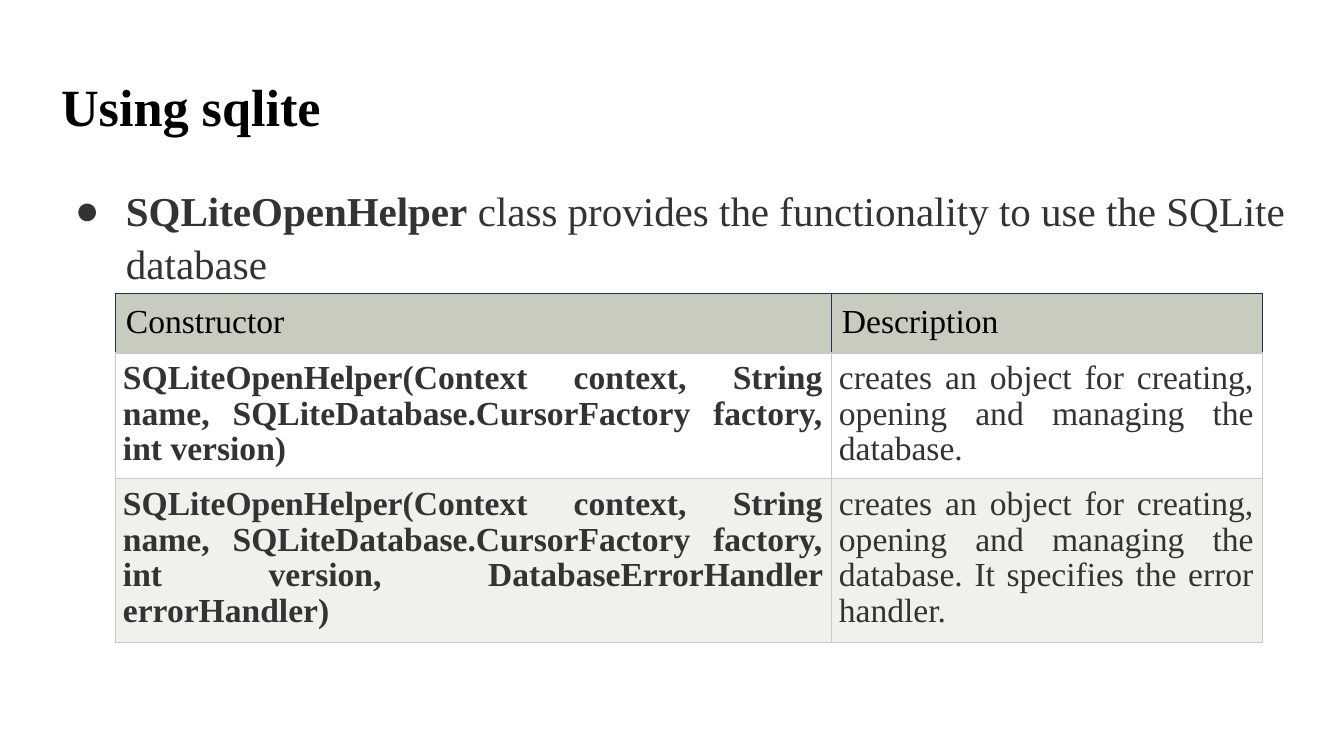
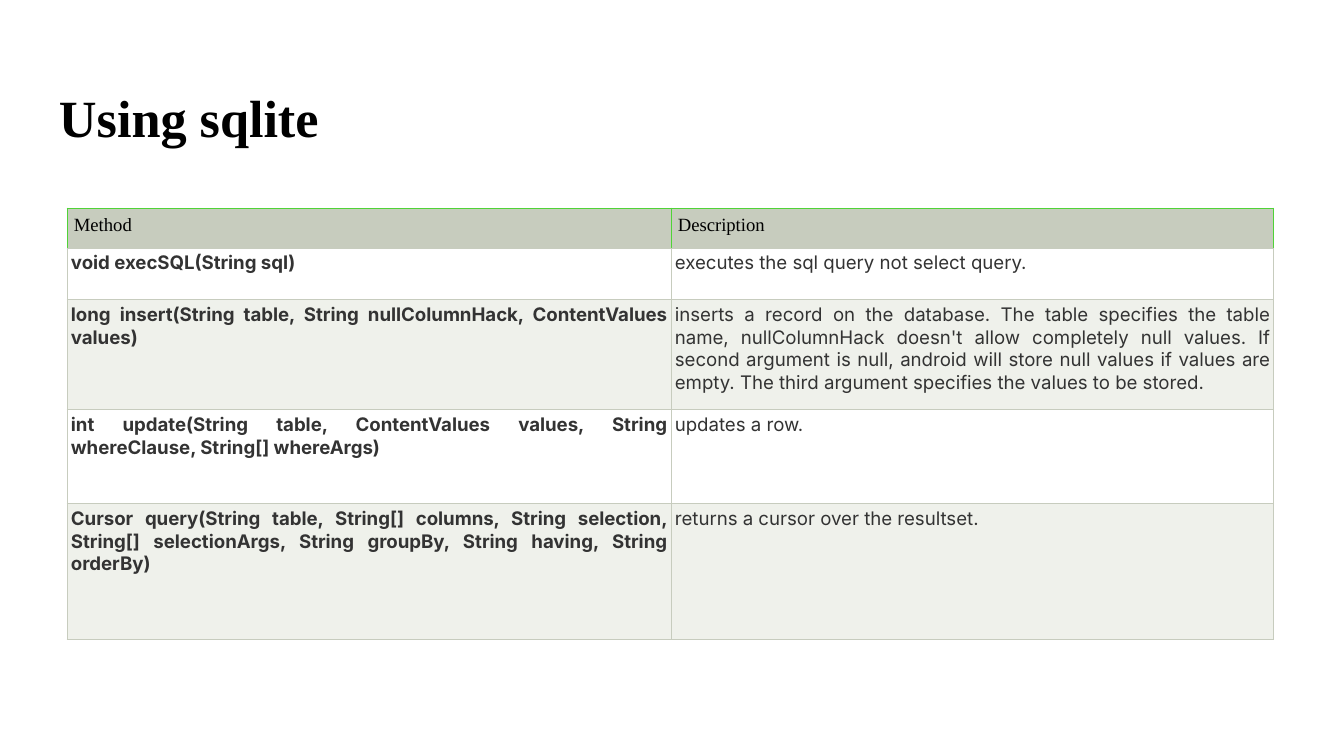
from lxml.etree import SubElement
from pptx import Presentation
from pptx.dml.color import RGBColor
from pptx.enum.text import MSO_ANCHOR, MSO_AUTO_SIZE, PP_ALIGN
from pptx.oxml.ns import qn
from pptx.util import Emu, Pt

BLACK = RGBColor(0x00, 0x00, 0x00)
TEXT = RGBColor(0x33, 0x33, 0x33)
WHITE = RGBColor(0xFF, 0xFF, 0xFF)
SAGE = RGBColor(0xC7, 0xCC, 0xBE)
PALE_SAGE = RGBColor(0xEF, 0xF1, 0xEB)
NAVY = RGBColor(0x20, 0x2F, 0x63)
GREEN = RGBColor(0x50, 0xD3, 0x37)

SERIF = "Times New Roman"
SANS = "Inter"
TITLE = "Using sqlite"
TITLE_SIZE = (1253, 85)
TITLE_AND_CONTENT, TITLE_ONLY = 1, 5

BULLET_RUNS = [
    ("SQLiteOpenHelper", True),
    (" class provides the functionality to use the SQLite database", False),
]

CONSTRUCTORS = {
    "rows": [
        ("Constructor", "Description"),
        ("SQLiteOpenHelper(Context context, String name, "
         "SQLiteDatabase.CursorFactory factory, int version)",
         "creates an object for creating, opening and managing the database."),
        ("SQLiteOpenHelper(Context context, String name, "
         "SQLiteDatabase.CursorFactory factory, int version, "
         "DatabaseErrorHandler errorHandler)",
         "creates an object for creating, opening and managing the database. "
         "It specifies the error handler."),
    ],
    "origin": (115, 293), "widths": (716, 431), "heights": (60, 126, 164),
    "size": 18, "font": SERIF, "line_spacing": 0.96,
    "header_inset": 11, "inset": 8, "header_line": NAVY,
}

METHODS = {
    "rows": [
        ("Method", "Description"),
        ("void execSQL(String sql)", "executes the sql query not select query."),
        ("long insert(String table, String nullColumnHack, ContentValues values)",
         "inserts a record on the database. The table specifies the table name, "
         "nullColumnHack doesn't allow completely null values. If second argument "
         "is null, android will store null values if values are empty. The third "
         "argument specifies the values to be stored."),
        ("int update(String table, ContentValues values, String whereClause, "
         "String[] whereArgs)", "updates a row."),
        ("Cursor query(String table, String[] columns, String selection, "
         "String[] selectionArgs, String groupBy, String having, String orderBy)",
         "returns a cursor over the resultset."),
    ],
    "origin": (67, 208), "widths": (604, 603), "heights": (40, 52, 110, 94, 136),
    "size": 10, "font": SANS, "line_spacing": 1.0,
    "header_inset": 7, "inset": 4, "header_line": GREEN,
}


def px(value):
    return Emu(round(value * 914400 / 134.4))


def set_font(font, name, size, color, bold):
    font.name, font.size, font.bold = name, Pt(size), bold
    font.color.rgb = color


def place(placeholder, left, top, width, height):
    """Position a placeholder and give its text frame the shared settings."""
    placeholder.left, placeholder.top = px(left), px(top)
    placeholder.width, placeholder.height = px(width), px(height)
    frame = placeholder.text_frame
    frame.auto_size = MSO_AUTO_SIZE.NONE
    frame.word_wrap = True
    frame.vertical_anchor = MSO_ANCHOR.TOP
    frame.margin_left = frame.margin_right = px(13)
    frame.margin_top = frame.margin_bottom = px(13)
    return frame


def add_slide(presentation, layout, title_left, title_top):
    slide = presentation.slides.add_slide(presentation.slide_layouts[layout])
    frame = place(slide.shapes.title, title_left, title_top, *TITLE_SIZE)
    frame.text = TITLE
    paragraph = frame.paragraphs[0]
    paragraph.alignment = PP_ALIGN.LEFT
    paragraph.line_spacing = 1.1
    set_font(paragraph.runs[0].font, SERIF, 28, BLACK, True)
    return slide


def add_bullet(placeholder):
    frame = place(placeholder, 46, 169, 1253, 503)
    paragraph = frame.paragraphs[0]
    properties = paragraph._p.get_or_add_pPr()
    properties.set("marL", str(px(67)))
    properties.set("indent", str(px(-51)))
    SubElement(properties, qn("a:buChar"), char="●")
    paragraph.line_spacing = 1.07
    paragraph.space_before = Pt(0)
    for text, bold in BULLET_RUNS:
        run = paragraph.add_run()
        run.text = text
        set_font(run.font, SERIF, 22, TEXT, bold)


def set_borders(cell, colors):
    """Draw half-point borders, with colours keyed by side: L, R, T, B."""
    properties = cell._tc.get_or_add_tcPr()
    for side, color in colors.items():
        line = SubElement(properties, qn(f"a:ln{side}"), w=str(Pt(0.5)))
        fill = SubElement(line, qn("a:solidFill"))
        SubElement(fill, qn("a:srgbClr"), val=str(color))


def format_cell(cell, text, row, column, content):
    header = row == 0
    edge = content["header_line"] if header else SAGE
    set_borders(cell, {"L": edge, "R": edge, "T": edge, "B": SAGE})
    cell.fill.solid()
    cell.fill.fore_color.rgb = SAGE if header else (PALE_SAGE, WHITE)[row % 2]
    inset = px(content["header_inset"] if header else content["inset"])
    cell.margin_left = cell.margin_right = inset
    cell.margin_top = cell.margin_bottom = inset
    cell.vertical_anchor = MSO_ANCHOR.TOP
    cell.text_frame.text = text
    paragraph = cell.text_frame.paragraphs[0]
    paragraph.alignment = PP_ALIGN.LEFT if header else PP_ALIGN.JUSTIFY
    paragraph.line_spacing = 1.0 if header else content["line_spacing"]
    set_font(paragraph.runs[0].font, SERIF if header else content["font"],
             content["size"], BLACK if header else TEXT,
             not header and column == 0)


def add_reference_table(slide, content):
    rows, widths, heights = content["rows"], content["widths"], content["heights"]
    left, top = content["origin"]
    table = slide.shapes.add_table(len(rows), len(widths), px(left), px(top),
                                   px(sum(widths)), px(sum(heights))).table
    for column, width in zip(table.columns, widths):
        column.width = px(width)
    for row, (texts, height) in enumerate(zip(rows, heights)):
        table.rows[row].height = px(height)
        for column, text in enumerate(texts):
            format_cell(table.cell(row, column), text, row, column, content)


def main():
    presentation = Presentation()
    presentation.slide_width, presentation.slide_height = px(1344), px(756)

    constructor_slide = add_slide(presentation, TITLE_AND_CONTENT, 48, 55)
    add_bullet(constructor_slide.placeholders[1])
    add_reference_table(constructor_slide, CONSTRUCTORS)

    method_slide = add_slide(presentation, TITLE_ONLY, 46, 66)
    add_reference_table(method_slide, METHODS)

    presentation.save("out.pptx")


if __name__ == "__main__":
    main()
